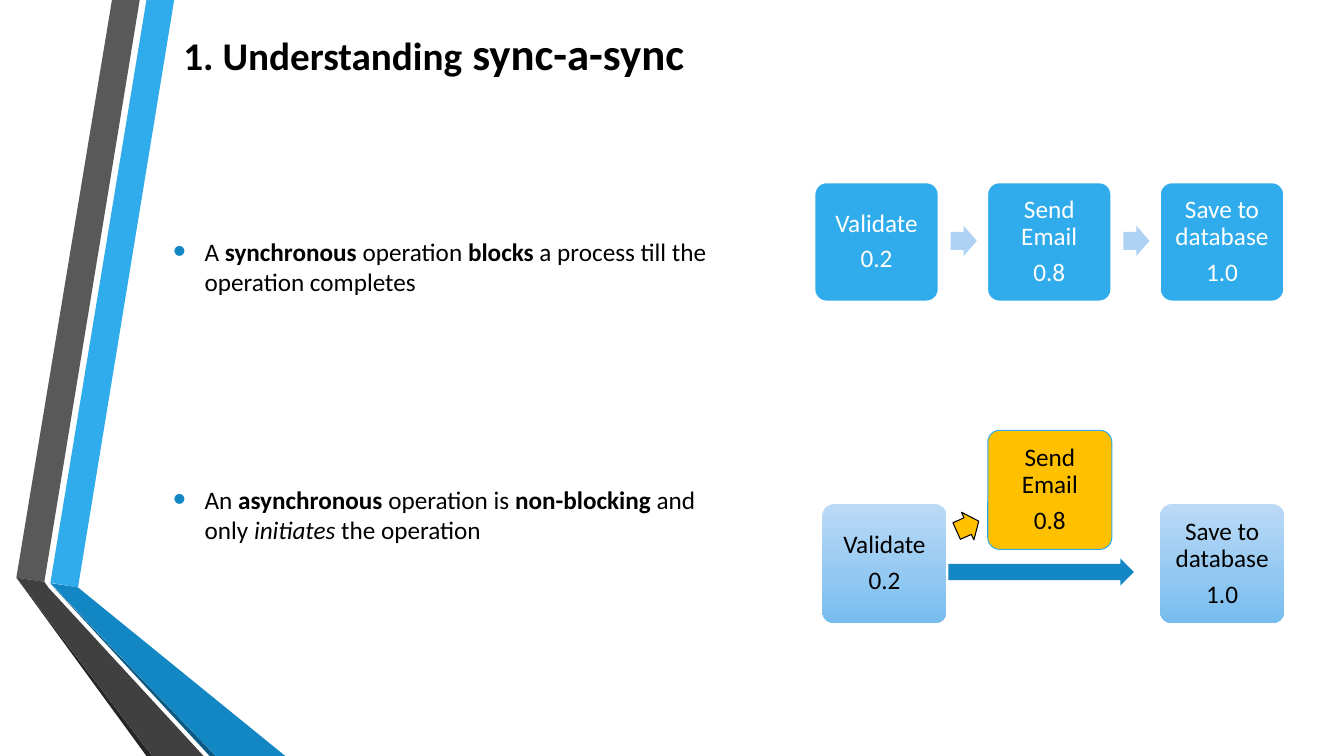
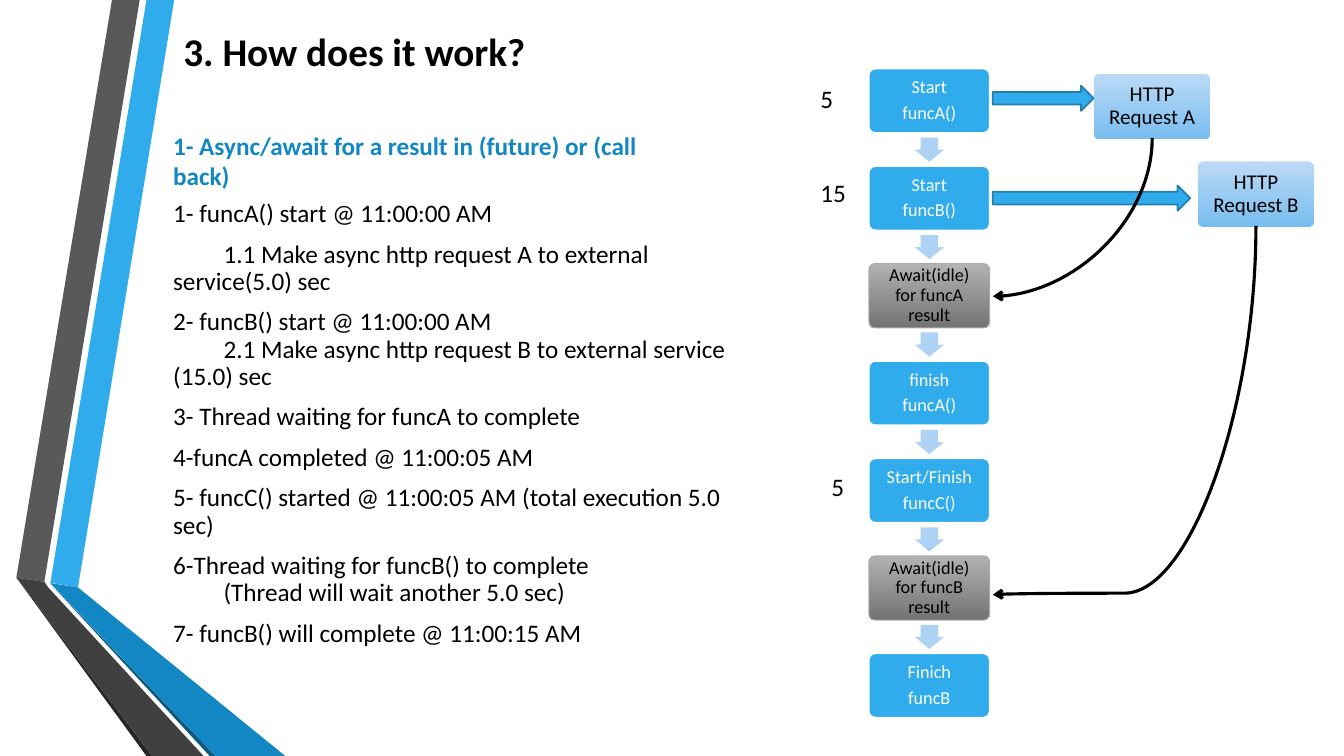
from lxml.etree import SubElement
from pptx import Presentation
from pptx.dml.color import RGBColor
from pptx.enum.shapes import MSO_CONNECTOR, MSO_SHAPE
from pptx.enum.text import MSO_ANCHOR, MSO_AUTO_SIZE, PP_ALIGN
from pptx.oxml.ns import qn
from pptx.util import Pt

FONT = "Calibri"
BLACK, WHITE = "000000", "FFFFFF"
BLUE, DEEP_BLUE, PALE_BLUE = "30ACEC", "1287C3", "AED2F4"
ARROW_EDGE, GOLD = "247FAF", "FFC000"
SKY = ("BCDAF6", "78BDEF")
GREY = ("B2B2B2", "737373")
GREY_EDGE = "ABABAB"

BANDS = [
    (BLUE, [(36, 416.2), (55.7, 419.6), (124.4, 0), (104.6, 0)]),
    ("595959", [(99.8, 0), (80, 0), (11.7, 412.6), (31.7, 415.6)]),
    ("262626", [(11.7, 412.6), (104.6, 540), (108.7, 540)]),
    ("0C5A82", [(36, 416.9), (149.8, 540), (154.1, 540)]),
    (DEEP_BLUE, [(36, 416.5), (154.1, 540), (203.8, 540), (55.7, 419.6)]),
    ("404040", [(145.4, 540), (34.6, 419.8), (31.7, 415.6), (11.7, 412.6), (108.7, 540)]),
]

SYNC_TITLE = [("1. Understanding", {}), (" sync-a-sync", {"size": 32})]
WORK_TITLE = [("3. How does it work?", {})]

BOLD, ITALIC = {"bold": True}, {"italic": True}
SYNC_POINTS = [
    [("A ", {}), ("synchronous", BOLD), (" operation ", {}), ("blocks", BOLD),
     (" a process till the operation completes", {})],
    [("An ", {}), ("asynchronous", BOLD), (" operation is ", {}), ("non-blocking", BOLD),
     (" and only ", {}), ("initiates", ITALIC), (" the operation", {})],
]
TASKS = [["Validate", "0.2"], ["Send Email", "0.8"], ["Save to database", "1.0"]]
ASYNC_BOXES = [
    (587.5, 360, {"fill": SKY}),
    (705.6, 307.4, {"fill": GOLD, "line": BLUE, "width": 0.75}),
    (828.7, 360, {"fill": SKY}),
]

WORK_HEADING = "1- Async/await for a result in (future) or (call back)"
STEP_GAP, SUB_INDENT = 9.5, 36
WORK_STEPS = [
    ("1- funcA() start @ 11:00:00 AM", 0, 0),
    ("1.1 Make async http request A to external service(5.0) sec", SUB_INDENT, STEP_GAP),
    ("2- funcB() start @ 11:00:00 AM", 0, STEP_GAP),
    ("2.1 Make async http request B to external service (15.0) sec", SUB_INDENT, 0),
    ("3- Thread waiting for funcA to complete", 0, STEP_GAP),
    ("4-funcA completed @ 11:00:05 AM", 0, STEP_GAP),
    ("5- funcC() started @ 11:00:05 AM (total execution 5.0 sec)", 0, STEP_GAP),
    ("6-Thread waiting for funcB() to complete", 0, STEP_GAP),
    ("(Thread will wait another 5.0 sec)", SUB_INDENT, 0),
    ("7- funcB() will complete @ 11:00:15 AM", 0, STEP_GAP),
]
CHAIN = [
    ["Start", "funcA()"],
    ["Start", "funcB()"],
    ["Await(idle) for funcA result"],
    ["finish", "funcA()"],
    ["Start/Finish", "funcC()"],
    ["Await(idle) for funcB result"],
    ["Finich", "funcB"],
]
REQUESTS = [("HTTP\vRequest A", 781.2, 52.6), ("HTTP\vRequest B", 855.4, 115.2)]
REQUEST_ARROWS = [(709.2, 61.2, 72), (709.2, 132.5, 141)]
RETURNS = [
    ((823, 98.6), (709.2, 211.7), "curvedConnector2", None),
    ((897.1, 161.3), (709.2, 424.8), "curvedConnector3", 99600),
]
TIMES = [("5", 578.9, 56.2), ("15", 578.9, 123.1), ("5", 586.8, 333.4)]


def rgb(color):
    return RGBColor.from_string(color)


def write(tf, runs, size=18, color=BLACK, bold=False, align=PP_ALIGN.LEFT,
          gap=0, spacing=1.0, indent=0, bullet=False):
    p = tf.add_paragraph() if tf.text else tf.paragraphs[0]
    p.alignment, p.line_spacing = align, spacing
    p.space_before, p.space_after = Pt(gap), Pt(0)
    pPr = p._p.get_or_add_pPr()
    pPr.set("marL", str(Pt(22.5) if bullet else 0))
    pPr.set("indent", str(-Pt(22.5) if bullet else Pt(indent)))
    if bullet:
        SubElement(SubElement(pPr, qn("a:buClr")), qn("a:srgbClr"), val=DEEP_BLUE)
        SubElement(pPr, qn("a:buSzPct"), val="145000")
        SubElement(pPr, qn("a:buFont"), typeface="Arial")
        SubElement(pPr, qn("a:buChar"), char="•")
    else:
        SubElement(pPr, qn("a:buNone"))
    for text, style in [(runs, {})] if isinstance(runs, str) else runs:
        for i, part in enumerate(text.split("\v")):
            if i:
                p.add_line_break()
            r = p.add_run()
            r.text = part
            r.font.name = FONT
            r.font.size = Pt(style.get("size", size))
            r.font.bold = style.get("bold", bold)
            r.font.italic = style.get("italic", False)
            r.font.color.rgb = rgb(color)


def paint(sp, fill, line=None, width=1.25):
    sp.shadow.inherit = False
    if isinstance(fill, tuple):
        sp.fill.gradient()
        sp.fill.gradient_angle = 270
        for position, (stop, color) in enumerate(zip(sp.fill.gradient_stops, fill)):
            stop.position, stop.color.rgb = position, rgb(color)
    else:
        sp.fill.solid()
        sp.fill.fore_color.rgb = rgb(fill)
    if line:
        sp.line.color.rgb = rgb(line)
        sp.line.width = Pt(width)
    else:
        sp.line.fill.background()


def add_text_box(s, x, y, w, h, wrap=True, anchor=MSO_ANCHOR.TOP):
    tf = s.shapes.add_textbox(Pt(x), Pt(y), Pt(w), Pt(h)).text_frame
    tf.word_wrap, tf.vertical_anchor = wrap, anchor
    return tf


def add_box(s, lines, x, y, w, h, size, inset, color=BLACK, **look):
    sp = s.shapes.add_shape(MSO_SHAPE.ROUNDED_RECTANGLE, Pt(x), Pt(y), Pt(w), Pt(h))
    sp.adjustments[0] = 0.1
    paint(sp, **look)
    tf = sp.text_frame
    tf.word_wrap, tf.vertical_anchor = True, MSO_ANCHOR.MIDDLE
    tf.margin_left = tf.margin_right = tf.margin_top = tf.margin_bottom = Pt(inset)
    for i, line in enumerate(lines):
        write(tf, line, size=size, color=color, align=PP_ALIGN.CENTER,
              spacing=0.9, gap=0.33 * size if i else 0)


def add_arrow(s, x, y, w, h, rotation=0, shaft=0.6, **look):
    sp = s.shapes.add_shape(MSO_SHAPE.RIGHT_ARROW, Pt(x), Pt(y), Pt(w), Pt(h))
    sp.adjustments[0], sp.adjustments[1] = shaft, 0.5
    sp.rotation = rotation
    paint(sp, **look)


def add_return_curve(s, start, end, preset, bend):
    (x0, y0), (x1, y1) = start, end
    w, h = y1 - y0, x0 - x1
    x, y = (x0 + x1 - w) / 2, (y0 + y1 - h) / 2
    c = s.shapes.add_connector(MSO_CONNECTOR.CURVE, Pt(x), Pt(y), Pt(x + w), Pt(y + h))
    c.line.color.rgb = rgb(BLACK)
    c.line.width = Pt(2.25)
    spPr = c._element.spPr
    spPr.find(qn("a:xfrm")).set("rot", "5400000")
    geom = spPr.find(qn("a:prstGeom"))
    geom.set("prst", preset)
    if bend:
        SubElement(geom.find(qn("a:avLst")), qn("a:gd"), name="adj1", fmla=f"val {bend}")
    SubElement(spPr.find(qn("a:ln")), qn("a:tailEnd"), type="arrow")
    SubElement(spPr, qn("a:effectLst"))


def add_bands(s, layout):
    for color, points in BANDS:
        start, *rest = [(Pt(x), Pt(y)) for x, y in points]
        builder = s.shapes.build_freeform(*start)
        builder.add_line_segments(rest, close=True)
        sp = builder.convert_to_shape()
        paint(sp, color)
        layout.shapes.element.append(sp._element)


def add_slide(prs, title, height):
    s = prs.slides.add_slide(prs.slide_layouts[5])
    sp = s.shapes.title
    sp.left, sp.top, sp.width, sp.height = Pt(123.8), Pt(10.8), Pt(789), Pt(height)
    tf = sp.text_frame
    tf.word_wrap, tf.auto_size = True, MSO_AUTO_SIZE.NONE
    tf.vertical_anchor = MSO_ANCHOR.MIDDLE
    write(tf, title, size=28, bold=True)
    return s


def build_sync(s):
    tf = add_text_box(s, 116.6, 165, 405, 236)
    for i, runs in enumerate(SYNC_POINTS):
        write(tf, runs, bullet=True, gap=134 if i else 0)
    size = {"w": 88.6, "h": 85, "size": 18, "inset": 7.3}
    for i, lines in enumerate(TASKS):
        x = 581.8 + 123.4 * i
        add_box(s, lines, x, 130.3, color=WHITE, fill=BLUE, line=WHITE, **size)
        if i < len(TASKS) - 1:
            add_arrow(s, x + 97.2, 161.3, 18.7, 21.6, fill=PALE_BLUE)
    for lines, (x, y, look) in zip(TASKS, ASYNC_BOXES):
        add_box(s, lines, x, y, **size, **look)
    add_arrow(s, 682.6, 365, 17.3, 21.6, rotation=335.9, fill=GOLD, line=BLACK, width=0.75)
    add_arrow(s, 677.5, 398.9, 132.5, 19.4, fill=DEEP_BLUE)


def build_work(s):
    tf = add_text_box(s, 116.6, 118.8, 416.9, 368.6, anchor=MSO_ANCHOR.MIDDLE)
    for text, indent, gap in WORK_STEPS:
        write(tf, text, indent=indent, gap=gap, spacing=0.9)
    write(add_text_box(s, 116.6, 89.3, 386.6, 51), WORK_HEADING, color=DEEP_BLUE, bold=True)
    for i, lines in enumerate(CHAIN):
        y = 49 + 69.6 * i
        if len(lines) == 1:
            look = {"fill": GREY, "line": GREY_EDGE, "width": 0.75}
        else:
            look = {"fill": BLUE, "line": WHITE, "color": WHITE}
        add_box(s, lines, 620.6, y, 86.4, 46, size=13, inset=5, **look)
        if i < len(CHAIN) - 1:
            add_arrow(s, 655.2, y + 47.5, 17.3, 20.9, rotation=90, fill=PALE_BLUE)
    for text, x, y in REQUESTS:
        add_box(s, [text], x, y, 83.5, 46.8, size=15, inset=5, fill=SKY)
    for x, y, w in REQUEST_ARROWS:
        add_arrow(s, x, y, w, 18, shaft=0.5, fill=BLUE, line=ARROW_EDGE)
    for curve in RETURNS:
        add_return_curve(s, *curve)
    for text, x, y in TIMES:
        write(add_text_box(s, x, y, 20.6 + 8 * len(text), 28.8, wrap=False), text)


def main():
    prs = Presentation()
    prs.slide_width, prs.slide_height = Pt(960), Pt(540)
    sync = add_slide(prs, SYNC_TITLE, 54)
    add_bands(sync, prs.slide_layouts[5])
    build_sync(sync)
    build_work(add_slide(prs, WORK_TITLE, 50.4))
    prs.save("out.pptx")


if __name__ == "__main__":
    main()
